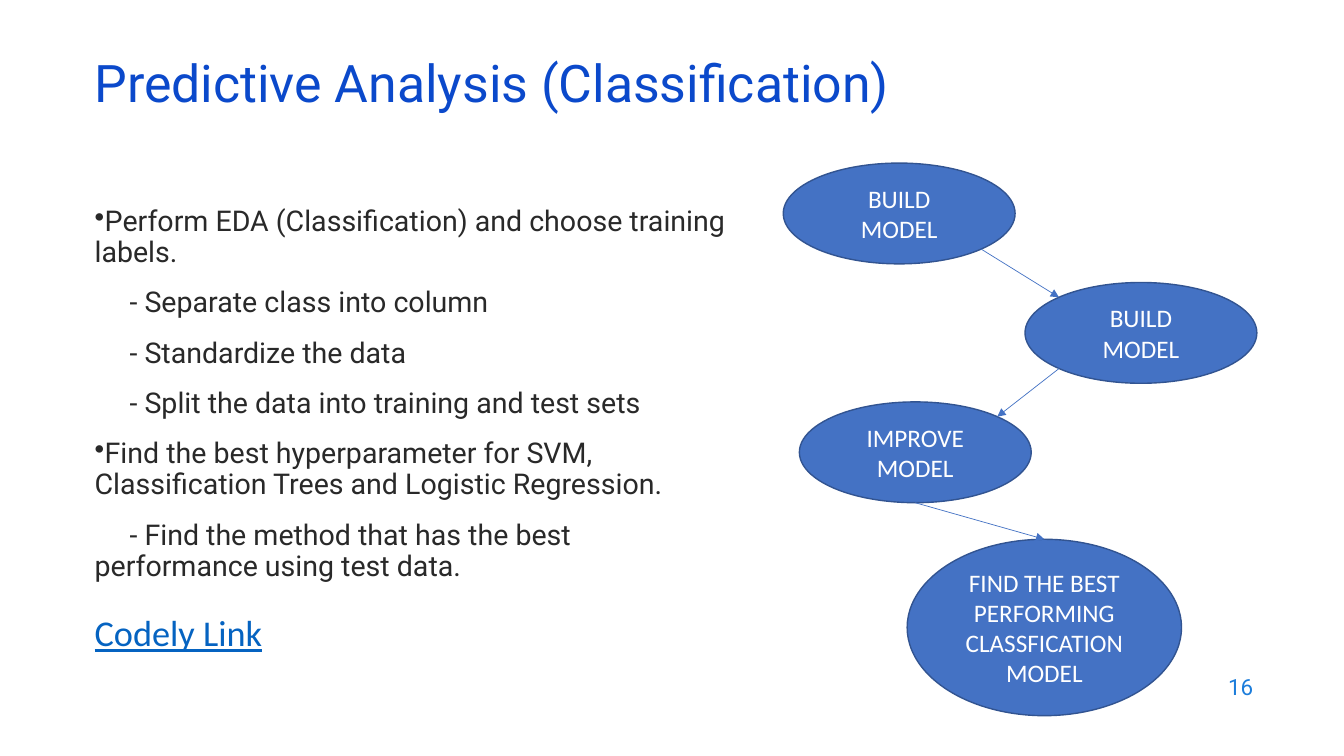
import dataclasses
import math

import pptx
import pptx.dml.color
import pptx.enum.shapes
import pptx.enum.text
import pptx.oxml
import pptx.oxml.ns
import pptx.util

Pt = pptx.util.Pt
ALIGN = pptx.enum.text.PP_ALIGN
ANCHOR = pptx.enum.text.MSO_ANCHOR
DIAGONAL = math.sqrt(0.5)
BLUE, OUTLINE, INK = "4472C4", "325491", "292929"


@dataclasses.dataclass(frozen=True)
class Step:
    label: str
    left: float
    top: float
    width: float = 165.6
    height: float = 72

    def edge_point(self, across: float, down: float) -> tuple[float, float]:
        return (
            self.left + self.width / 2 * (1 + across),
            self.top + self.height / 2 * (1 + down),
        )


@dataclasses.dataclass(frozen=True)
class Arrow:
    start: tuple[float, float]
    end: tuple[float, float]


@dataclasses.dataclass(frozen=True)
class Item:
    text: str
    bulleted: bool = False


STEP_TOP, STEP_GAP = 116.5, 85.3
BUILD_FIRST = Step("BUILD MODEL", 559.5, STEP_TOP)
BUILD_SECOND = Step("BUILD MODEL", 732.2, STEP_TOP + STEP_GAP)
IMPROVE = Step("IMPROVE MODEL", 571, STEP_TOP + 2 * STEP_GAP)
FIND_BEST = Step("FIND THE BEST PERFORMING CLASSFICATION MODEL", 648, 385.2, 196, 126)
STEPS = [BUILD_FIRST, BUILD_SECOND, IMPROVE, FIND_BEST]
ARROWS = [
    Arrow(
        BUILD_FIRST.edge_point(DIAGONAL, DIAGONAL),
        BUILD_SECOND.edge_point(-DIAGONAL, -DIAGONAL),
    ),
    Arrow(
        BUILD_SECOND.edge_point(-DIAGONAL, DIAGONAL),
        IMPROVE.edge_point(DIAGONAL, -DIAGONAL),
    ),
    Arrow(IMPROVE.edge_point(0, 1), FIND_BEST.edge_point(0, -1)),
]
ITEMS = [
    Item("Perform EDA (Classification) and choose training labels.", True),
    Item("- Separate class into column"),
    Item("- Standardize the data"),
    Item("- Split the data into training and test sets"),
    Item("Find the best hyperparameter for SVM, Classification Trees and Logistic Regression.", True),
    Item("- Find the method that has the best performance using test data."),
]


def color(value: str) -> pptx.dml.color.RGBColor:
    return pptx.dml.color.RGBColor.from_string(value)


def write(frame, text: str, *, size: float, ink: str, font: str = "Roboto",
          align=ALIGN.LEFT, spacing: float = 1.0, before: float = 0,
          indent: float = 0, bulleted: bool = False, underline: bool = False) -> None:
    para = frame.paragraphs[0]
    if para.runs:
        para = frame.add_paragraph()
    properties = para._p.get_or_add_pPr()
    properties.set("marL", "0")
    properties.set("indent", str(int(Pt(indent))))
    if bulleted:
        bullet = pptx.oxml.parse_xml(f'<a:buChar {pptx.oxml.ns.nsdecls("a")} char="•"/>')
        properties.append(bullet)
    para.alignment = align
    para.line_spacing = spacing
    para.space_before = Pt(before)
    span = para.add_run()
    span.text = text
    span.font.name = font
    span.font.size = Pt(size)
    span.font.color.rgb = color(ink)
    if underline:
        span.font.underline = True


def add_box(page, left: float, top: float, width: float, height: float, anchor=ANCHOR.MIDDLE):
    box = page.shapes.add_textbox(Pt(left), Pt(top), Pt(width), Pt(height))
    frame = box.text_frame
    frame.word_wrap = True
    frame.vertical_anchor = anchor
    return frame


def draw_step(page, step: Step) -> None:
    oval = page.shapes.add_shape(
        pptx.enum.shapes.MSO_SHAPE.OVAL,
        Pt(step.left), Pt(step.top), Pt(step.width), Pt(step.height),
    )
    oval.shadow.inherit = False
    oval.fill.solid()
    oval.fill.fore_color.rgb = color(BLUE)
    oval.line.color.rgb = color(OUTLINE)
    oval.line.width = Pt(1)
    oval.text_frame.word_wrap = True
    oval.text_frame.vertical_anchor = ANCHOR.MIDDLE
    write(oval.text_frame, step.label, size=18, ink="FFFFFF", font="Calibri", align=ALIGN.CENTER)


def draw_arrow(page, arrow: Arrow) -> None:
    line = page.shapes.add_connector(
        pptx.enum.shapes.MSO_CONNECTOR.STRAIGHT,
        *(Pt(length) for length in arrow.start + arrow.end),
    )
    line.line.color.rgb = color(BLUE)
    line.line.width = Pt(0.5)
    namespace = pptx.oxml.ns.nsdecls("a")
    line.line._get_or_add_ln().append(
        pptx.oxml.parse_xml(f'<a:tailEnd {namespace} type="triangle"/>')
    )
    line._element.spPr.append(pptx.oxml.parse_xml(f"<a:effectLst {namespace}/>"))


def main() -> None:
    deck = pptx.Presentation()
    deck.slide_width, deck.slide_height = Pt(960), Pt(540)
    page = deck.slides.add_slide(deck.slide_layouts[6])

    write(add_box(page, 686.2, 474.5, 216, 31.7), "16", size=16, ink="1C7DDB", align=ALIGN.RIGHT)
    title = add_box(page, 60.5, 42.5, 828, 43.2)
    write(title, "Predictive Analysis (Classification)", size=37, ink="0B49CB", spacing=0.7)

    body = add_box(page, 60.5, 144, 466.6, 342.7, ANCHOR.TOP)
    for position, item in enumerate(ITEMS):
        write(body, item.text, size=20.4, ink=INK, spacing=0.9,
              before=14 if position else 0,
              indent=0 if item.bulleted else 25, bulleted=item.bulleted)
    write(body, "Codely Link", size=25.9, ink="0563C1", font="Calibri",
          spacing=0.8, before=26, underline=True)

    for step in STEPS:
        draw_step(page, step)
    for arrow in ARROWS:
        draw_arrow(page, arrow)
    deck.save("out.pptx")


if __name__ == "__main__":
    main()
